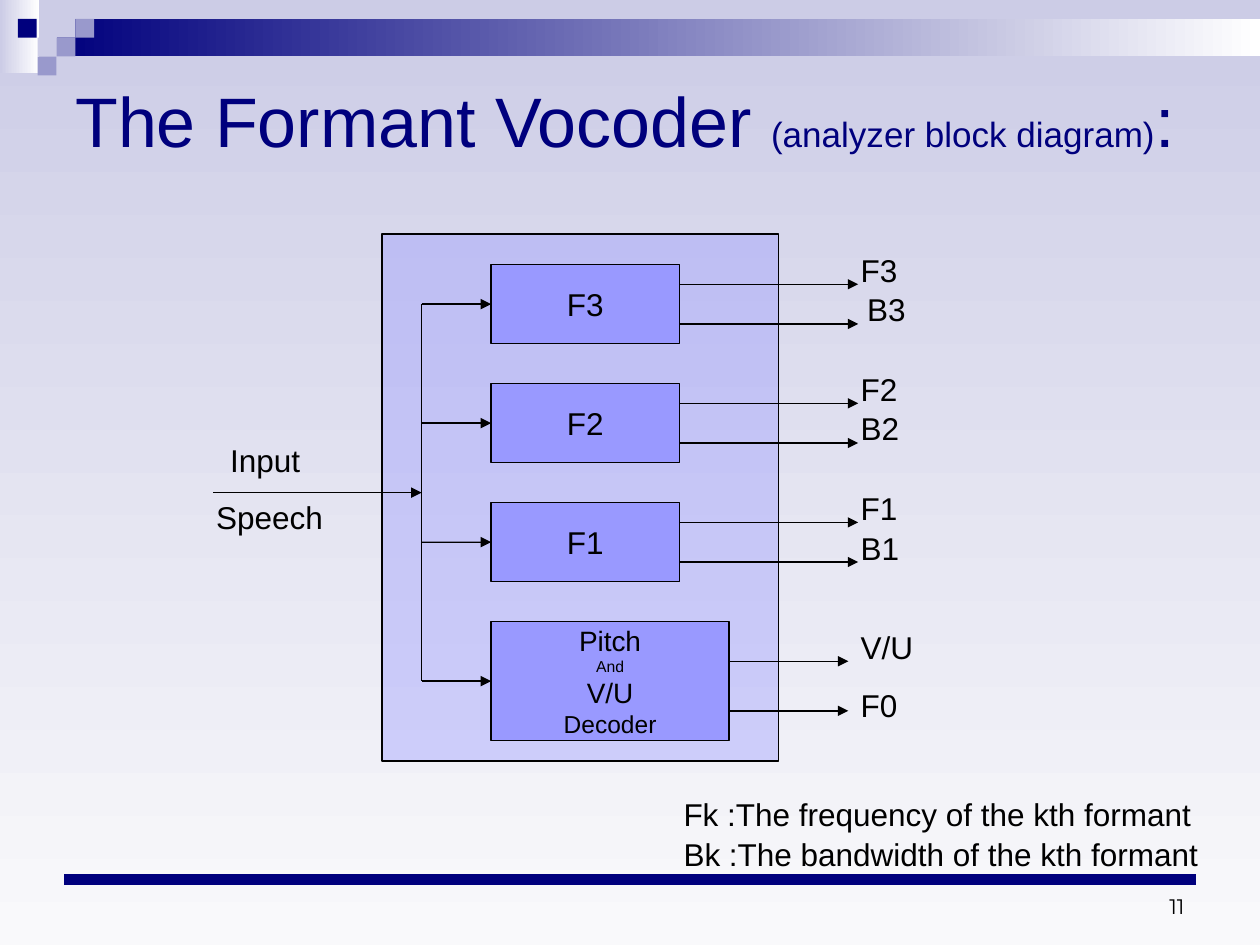
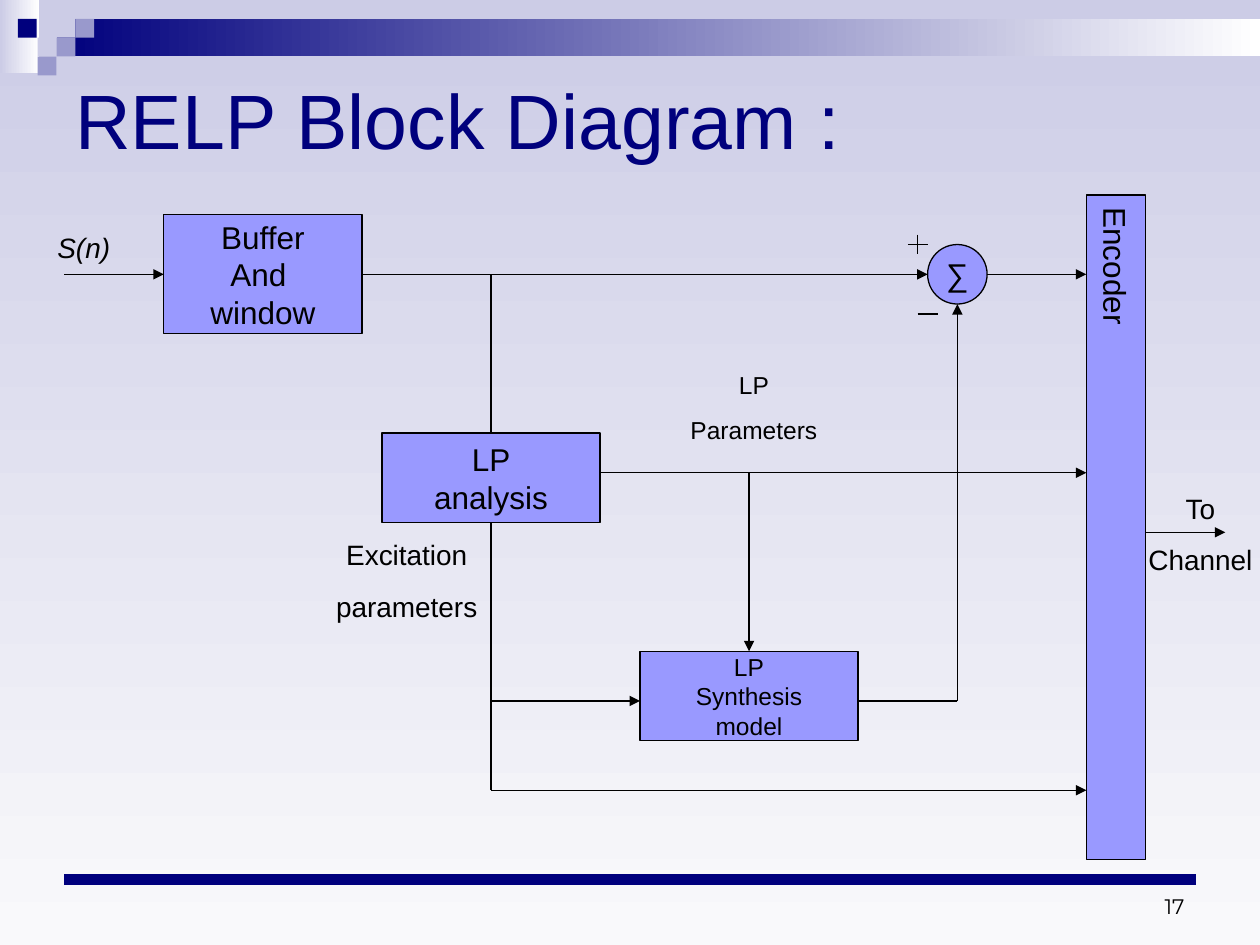
from lxml.etree import SubElement
from pptx import Presentation
from pptx.dml.color import RGBColor
from pptx.enum.shapes import MSO_CONNECTOR, MSO_SHAPE
from pptx.enum.text import MSO_ANCHOR, MSO_AUTO_SIZE, PP_ALIGN
from pptx.oxml.ns import qn
from pptx.util import Cm, Pt

COLORS = {
    "navy": "00007D",
    "mist": "CCCCE6",
    "pale": "F9F9FB",
    "slate": "9999CC",
    "block": "9999FF",
    "white": "FFFFFF",
    "black": "000000",
}
TEXT_FONT = "Arial"
NUMBER_FONT = "Montserrat"


def rgb(name):
    return RGBColor.from_string(COLORS[name])


def set_gradient(fill, first, last, angle):
    fill.gradient()
    fill.gradient_angle = angle
    for stop, name in zip(fill.gradient_stops, (first, last)):
        stop.color.rgb = rgb(name)


def write_text(frame, paragraphs, size=18, color="black", font=TEXT_FONT,
               align=PP_ALIGN.LEFT, anchor=MSO_ANCHOR.TOP, italic=False,
               before=0, wrap=True):
    """Fill a frame; a paragraph is a string or a list of (text, size) spans."""
    frame.word_wrap = wrap
    frame.vertical_anchor = anchor
    for index, spans in enumerate(paragraphs):
        para = frame.paragraphs[0] if index == 0 else frame.add_paragraph()
        para.alignment = align
        para.space_before = Pt(before)
        if isinstance(spans, str):
            spans = [(spans, size)]
        for text, span_size in spans:
            span = para.add_run()
            span.text = text
            span.font.name = font
            span.font.size = Pt(span_size)
            span.font.italic = italic
            span.font.color.rgb = rgb(color)


def add_text(page, area, paragraphs, grow=False, **style):
    box = page.shapes.add_textbox(*map(Cm, area))
    write_text(box.text_frame, paragraphs, **style)
    if grow:
        box.text_frame.auto_size = MSO_AUTO_SIZE.SHAPE_TO_FIT_TEXT
    return box


def add_label(page, area, *lines, size=18, **style):
    return add_text(page, area, lines, grow=True, size=size,
                    before=round(size * 0.625, 1), **style)


def add_plain(page, area, color=None, kind=MSO_SHAPE.RECTANGLE):
    box = page.shapes.add_shape(kind, *map(Cm, area))
    box.shadow.inherit = False
    box.line.fill.background()
    if color:
        box.fill.solid()
        box.fill.fore_color.rgb = rgb(color)
    return box


def add_block(page, area, *lines, size=18, kind=MSO_SHAPE.RECTANGLE,
              wrap=False):
    box = add_plain(page, area, "block", kind)
    box.line.color.rgb = rgb("black")
    box.line.width = Pt(0.75)
    write_text(box.text_frame, lines, size=size, align=PP_ALIGN.CENTER,
               anchor=MSO_ANCHOR.MIDDLE, wrap=wrap)
    return box


def add_line(page, start, end, arrow=False, begin=None, finish=None,
             color="black", width=0.75):
    """Draw a line; begin and finish are (box, site) pairs to join."""
    line = page.shapes.add_connector(MSO_CONNECTOR.STRAIGHT,
                                     *map(Cm, (*start, *end)))
    if begin:
        line.begin_connect(*begin)
    if finish:
        line.end_connect(*finish)
    line.line.color.rgb = rgb(color)
    line.line.width = Pt(width)
    properties = line._element.spPr
    if arrow:
        SubElement(properties.find(qn("a:ln")), qn("a:tailEnd"), type="triangle")
    SubElement(properties, qn("a:effectLst"))
    return line


def add_page(deck, title, number):
    """Add a page with the shared background, corner squares, title and footer."""
    page = deck.slides.add_slide(deck.slide_layouts[6])
    set_gradient(page.background.fill, "mist", "pale", 270)

    # Top band and corner squares
    set_gradient(add_plain(page, (0, 0, 0.79, 1.47)).fill, "white", "mist", 180)
    set_gradient(add_plain(page, (1.14, 0.38, 24.26, 0.76)).fill,
                 "white", "navy", 180)
    side = 0.38
    for column, row, color in ((3, 1, "mist"), (4, 0, "mist"), (4, 1, "slate"),
                               (2, 2, "mist"), (0.95, 1, "navy"),
                               (3, 2, "slate"), (2, 3, "slate")):
        add_plain(page, (column * side, row * side, side, side), color)

    # Title, footer rule and page number
    add_text(page, (1.27, 1.27, 22.86, 2.26), [title], color="navy",
             anchor=MSO_ANCHOR.MIDDLE)
    add_line(page, (1.3, 17.73), (24.1, 17.73), color="navy", width=6)
    add_text(page, (18.21, 18.14, 5.92, 0.5), [number], size=12,
             font=NUMBER_FONT, align=PP_ALIGN.RIGHT,
             anchor=MSO_ANCHOR.BOTTOM)
    return page


def build_formant_vocoder(deck):
    page = add_page(deck, [("The Formant Vocoder ", 40),
                           ("(analyzer block diagram)", 20), (":", 40)], "11")

    # Analyzer frame
    frame = add_block(page, (7.7, 4.72, 8, 10.62))
    color = frame.fill._xPr.find(qn("a:solidFill"))[0]
    SubElement(color, qn("a:alpha"), val="40000")

    # Input and its distribution line
    bus, left, label_left, label_width = 8.5, 9.9, 17.1, 1.8
    add_line(page, (bus, 6.13), (bus, 13.73))
    add_line(page, (4.3, 9.93), (bus, 9.93), arrow=True)
    add_label(page, (4.1, 8.76, 2.67, 2.18), "Input ", "Speech",
              align=PP_ALIGN.CENTER, wrap=False)

    # Formant blocks, each with a frequency and a bandwidth output
    blocks = []
    for row, formant in enumerate((3, 2, 1)):
        top = 5.33 + 2.4 * row
        blocks.append((add_block(page, (left, top, 3.8, 1.6), f"F{formant}"),
                       top + 0.8))
        for offset, letter in ((0.4, "F"), (1.2, "B")):
            y = top + offset
            add_line(page, (13.7, y), (17.3, y), arrow=True)
            shift = 0.13 if (letter, formant) == ("B", 3) else 0
            add_label(page, (label_left + shift, y - 0.8, label_width, 1.02),
                      f"{letter}{formant}")

    # Pitch block and its outputs
    pitch = add_block(page, (left, 12.53, 4.8, 2.4), [("Pitch", 16)],
                      [("And", 9)], [("V/U", 16)], [("Decoder", 14)])
    blocks.append((pitch, 13.73))
    for y, label_top, label in ((13.33, 12.53, "V/U"), (14.33, 13.7, "F0")):
        add_line(page, (14.7, y), (17.1, y), arrow=True)
        add_label(page, (label_left, label_top, label_width, 1.02), label)

    for block, y in blocks:
        add_line(page, (bus, y), (left, y), arrow=True, finish=(block, 1))

    # Legend
    for top, text in ((15.9, "Fk :The frequency of the kth formant"),
                      (16.71, "Bk :The bandwidth of the kth formant")):
        add_label(page, (13.53, top, 11.3, 1.02), text)


def build_relp(deck):
    page = add_page(deck, [("RELP Block Diagram :", 44)], "17")

    # Blocks
    window = add_block(page, (3.3, 4.33, 4, 2.4), "Buffer", "And ", "window")
    analysis = add_block(page, (7.7, 8.73, 4.4, 1.8), "LP", "analysis")
    add_block(page, (18.7, 4.93, 1.2, 1.2), "∑", kind=MSO_SHAPE.OVAL)
    encoder = add_block(page, (21.9, 3.93, 1.2, 13.4), "Encoder", wrap=True)
    encoder_text = encoder.text_frame
    encoder_text._txBody.bodyPr.set("vert", "eaVert")
    encoder_text.margin_left = encoder_text.margin_right = Cm(0.13)
    encoder_text.margin_top = encoder_text.margin_bottom = Cm(0.25)
    synthesis = add_block(page, (12.9, 13.13, 4.4, 1.8),
                          "LP", "Synthesis", "model", size=14)

    # Signal path along the top
    signal = 5.53
    add_line(page, (1.3, signal), (3.3, signal), arrow=True, finish=(window, 1))
    add_line(page, (7.3, signal), (18.7, signal), arrow=True, begin=(window, 3))
    add_line(page, (19.9, signal), (21.9, signal), arrow=True)

    # Analysis and synthesis paths
    add_line(page, (9.9, signal), (9.9, 8.73), finish=(analysis, 0))
    add_line(page, (9.9, 10.53), (9.9, 15.93), begin=(analysis, 2))
    add_line(page, (15.1, 9.53), (15.1, 13.13), arrow=True,
             finish=(synthesis, 0))
    for start, end in (((12.1, 9.53), (21.9, 9.53)),
                       ((9.9, 14.13), (12.9, 14.13)),
                       ((9.9, 15.93), (21.9, 15.93)),
                       ((19.3, 14.13), (19.3, 6.13)),
                       ((23.1, 10.73), (24.7, 10.73))):
        add_line(page, start, end, arrow=True)
    add_line(page, (19.3, 14.13), (17.3, 14.13))

    # Plus and minus signs at the adder
    for start, end in (((18.3, 4.93), (18.7, 4.93)),
                       ((18.5, 4.73), (18.5, 5.13)),
                       ((18.5, 6.33), (18.9, 6.33))):
        add_line(page, start, end)

    # Signal names
    centre = PP_ALIGN.CENTER
    add_label(page, (0.69, 4.52, 2, 0.94), "S(n)", size=16, italic=True,
              align=centre)
    add_label(page, (22.7, 9.78, 3, 1.96), "To", "Channel", size=16,
              align=centre)
    add_label(page, (6.5, 10.72, 3.4, 1.96), "Excitation", "parameters",
              size=16, align=centre)
    add_label(page, (13.5, 7.33, 3.4, 1.75), "LP", "Parameters", size=14,
              align=centre)


def main():
    deck = Presentation()
    deck.slide_width, deck.slide_height = Cm(25.4), Cm(19.05)
    build_formant_vocoder(deck)
    build_relp(deck)
    deck.save("out.pptx")


if __name__ == "__main__":
    main()
